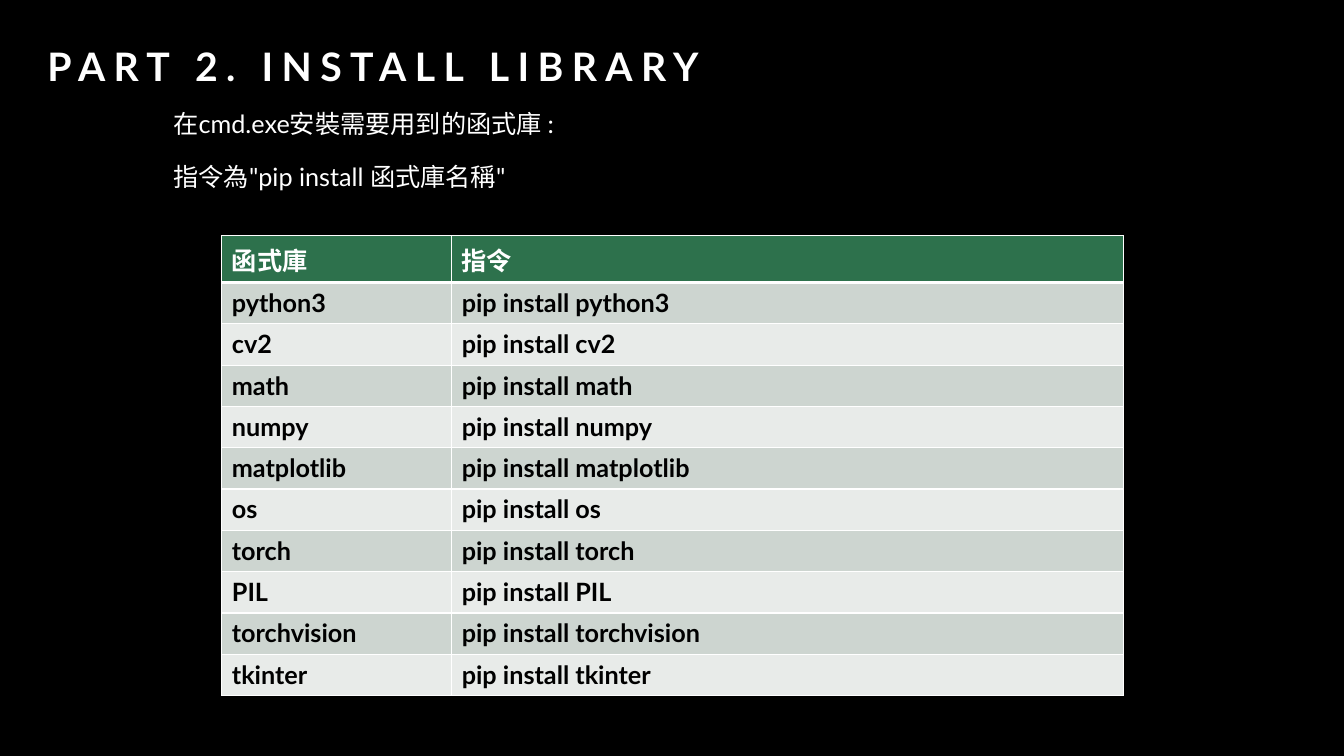
from lxml import etree
from pptx import Presentation
from pptx.dml.color import RGBColor
from pptx.enum import text
from pptx.oxml import ns
from pptx.util import Inches, Pt

BLACK = RGBColor(0x00, 0x00, 0x00)
WHITE = RGBColor(0xFF, 0xFF, 0xFF)
GREEN = RGBColor(0x2D, 0x71, 0x4C)
BANDS = [RGBColor(0xE8, 0xEB, 0xE9), RGBColor(0xCD, 0xD5, 0xD0)]

LIBRARIES = ["python3", "cv2", "math", "numpy", "matplotlib", "os",
             "torch", "PIL", "torchvision", "tkinter"]


def set_font(paragraph, size, color, bold):
    font = paragraph.font
    font.name, font.size, font.bold = "Lato", Pt(size), bold
    font.color.rgb = color


def add_borders(cell, widths):
    """Give a cell white left, right, top and bottom borders, in points."""
    properties = cell._tc.get_or_add_tcPr()
    for position, (side, width) in enumerate(zip("LRTB", widths)):
        line = etree.Element(ns.qn(f"a:ln{side}"), w=str(Pt(width)))
        fill = etree.SubElement(line, ns.qn("a:solidFill"))
        etree.SubElement(fill, ns.qn("a:srgbClr"), val=str(WHITE))
        properties.insert(position, line)


prs = Presentation()
prs.slide_width, prs.slide_height = Inches(13.33), Inches(7.5)
slide = prs.slides.add_slide(prs.slide_layouts[1])
slide.background.fill.solid()
slide.background.fill.fore_color.rgb = BLACK

# Title
title = slide.shapes.title
title.left, title.top = Inches(0), Inches(0)
title.width, title.height = Inches(10.1), Inches(0.94)
title_frame = title.text_frame
title_frame.text = "PART 2. INSTALL LIBRARY"
title_frame.auto_size = text.MSO_AUTO_SIZE.NONE
title_frame.vertical_anchor = text.MSO_ANCHOR.BOTTOM
title_frame.margin_left = Inches(0.47)
heading = title_frame.paragraphs[0]
heading.alignment = text.PP_ALIGN.LEFT
heading.line_spacing = 1.2
set_font(heading, 28, WHITE, True)
heading.runs[0].font._element.set("spc", "600")

# Instructions
instructions = slide.placeholders[1]
instructions.left, instructions.top = Inches(1.62), Inches(0.93)
instructions.width, instructions.height = Inches(10.1), Inches(4.17)
instructions.text_frame.text = '在cmd.exe安裝需要用到的函式庫 :\n指令為"pip install 函式庫名稱"'
instructions.text_frame.auto_size = text.MSO_AUTO_SIZE.NONE
for step in instructions.text_frame.paragraphs:
    step.line_spacing = 1.3
    step.space_before = Pt(10)
    set_font(step, 18, WHITE, False)
    step_properties = step._p.get_or_add_pPr()
    step_properties.set("marL", "0")
    step_properties.set("indent", "0")
    bullet = etree.Element(ns.qn("a:buNone"))
    step_properties.find(ns.qn("a:defRPr")).addprevious(bullet)

# Table of libraries and their install commands
rows = [("函式庫", "指令")] + [(name, f"pip install {name}") for name in LIBRARIES]
commands = slide.shapes.add_table(len(rows), 2, Inches(2.2), Inches(2.34),
                                  Inches(8.94), Inches(0.41 * len(rows))).table
commands.columns[0].width = Inches(2.28)
commands.columns[1].width = Inches(6.66)
for r, row in enumerate(rows):
    commands.rows[r].height = Inches(0.41)
    for c, words in enumerate(row):
        cell = commands.cell(r, c)
        cell.text = words
        set_font(cell.text_frame.paragraphs[0], 18, BLACK if r else WHITE, True)
        cell.fill.solid()
        cell.fill.fore_color.rgb = BANDS[r % 2] if r else GREEN
        # A thick line parts the header from the rows below
        add_borders(cell, (1, 1, 3 if r == 1 else 1, 3 if r == 0 else 1))

prs.save("out.pptx")
